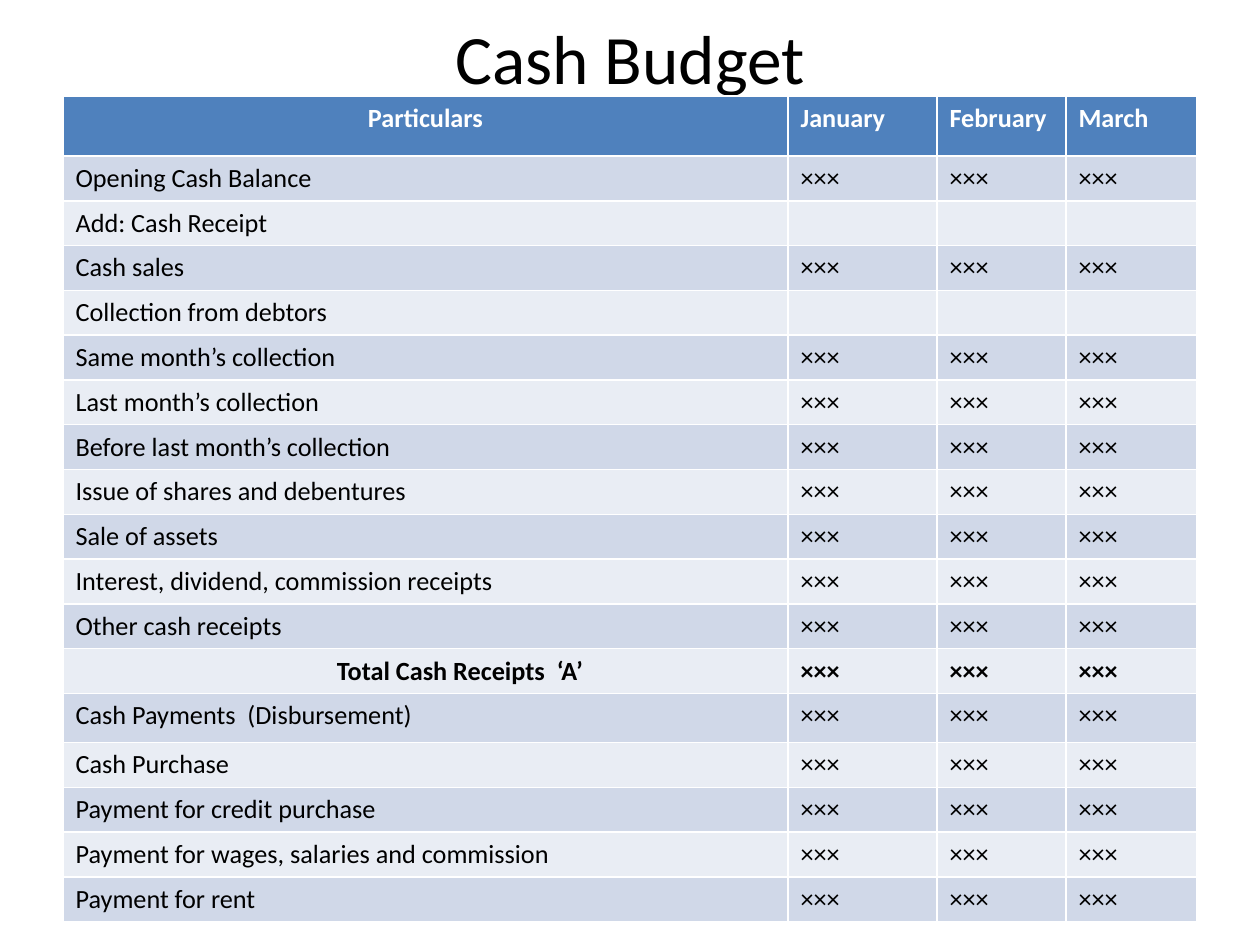
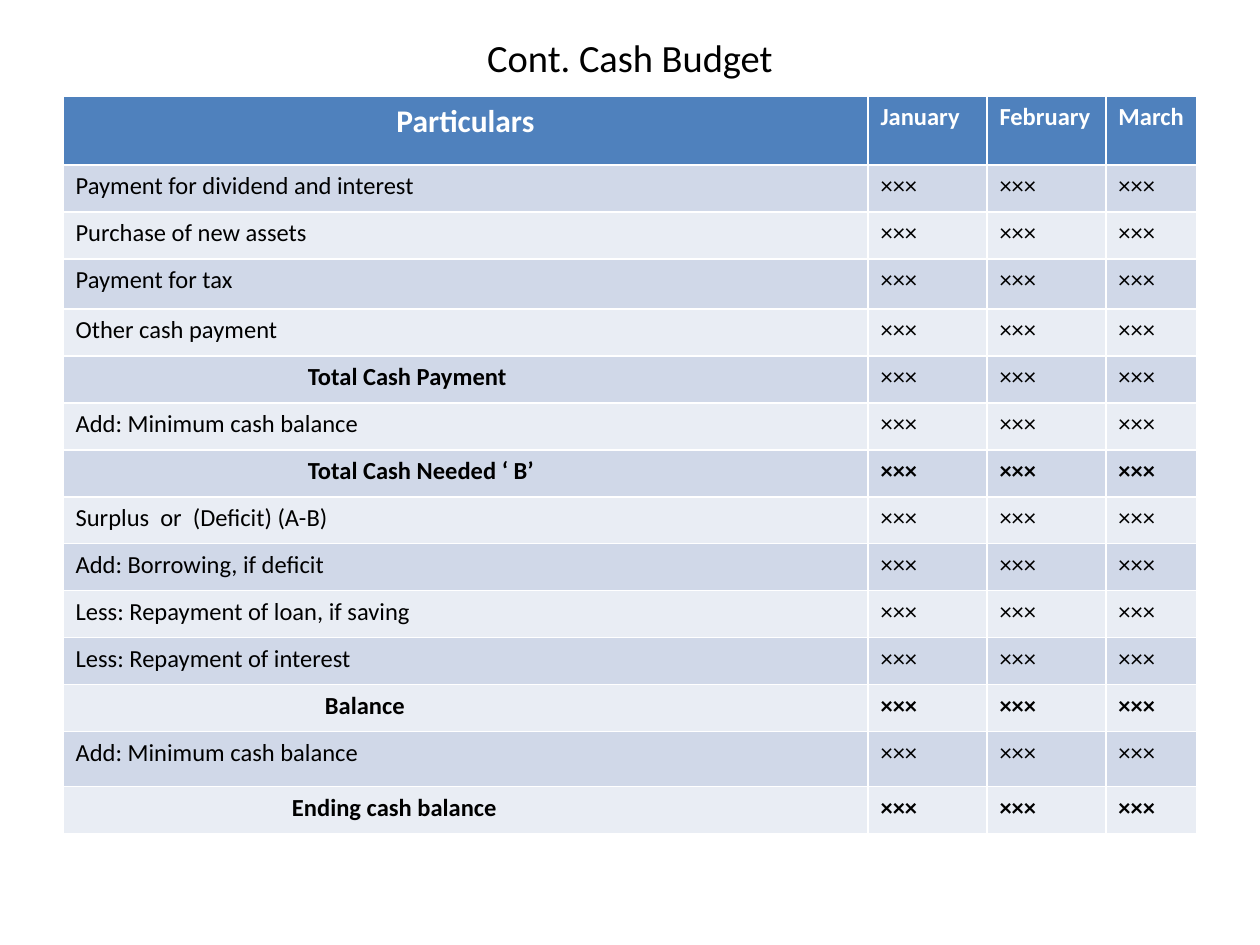
from dataclasses import dataclass

import pptx
import pptx.dml.color
import pptx.enum.text
import pptx.util
from lxml import etree

# Shared look
FONT = "Calibri"
BLACK = pptx.dml.color.RGBColor(0x00, 0x00, 0x00)
WHITE = pptx.dml.color.RGBColor(0xFF, 0xFF, 0xFF)
HEADER_BLUE = pptx.dml.color.RGBColor(0x4F, 0x81, 0xBD)
BANDS = (
    pptx.dml.color.RGBColor(0xD0, 0xD8, 0xE8),
    pptx.dml.color.RGBColor(0xE9, 0xED, 0xF4),
)
CENTER = pptx.enum.text.PP_ALIGN.CENTER
MIDDLE = pptx.enum.text.MSO_ANCHOR.MIDDLE
NO_AUTOFIT = pptx.enum.text.MSO_AUTO_SIZE.NONE

# Shared geometry, in px
PX_PER_INCH = 126
SLIDE_W, SLIDE_H = 1260, 945
LEFT, WIDTH = 63, 1134
TITLE_TOP, TITLE_H = 38, 38
TABLE_TOP = 96

MONTHS = ("January", "February", "March")
AMOUNT = "×××"


@dataclass(frozen=True)
class Entry:
    label: str
    amount: str = AMOUNT
    indent: int = 0  # px from the cell's edge; totals are indented and bold
    bold_amount: bool = False
    height: int = 0  # px; 0 takes the row height of the table


@dataclass(frozen=True)
class Budget:
    title: str
    title_size: float
    heading_size: int
    text_size: int
    columns: tuple[int, ...]
    header_height: int
    row_height: int
    entries: tuple[Entry, ...]


BUDGETS = (
    Budget(
        "Cash Budget", 39.6, 15, 15, (725, 149, 129, 131), 60, 44,
        (
            Entry("Opening Cash Balance"),
            Entry("Add: Cash Receipt", amount=""),
            Entry("Cash sales"),
            Entry("Collection from debtors", amount=""),
            Entry("Same month’s collection"),
            Entry("Last month’s collection"),
            Entry("Before last month’s collection"),
            Entry("Issue of shares and debentures"),
            Entry("Sale of assets"),
            Entry("Interest, dividend, commission receipts"),
            Entry("Other cash receipts"),
            Entry("Total Cash Receipts  ‘A’", indent=274, bold_amount=True),
            Entry("Cash Payments  (Disbursement)", height=49),
            Entry("Cash Purchase"),
            Entry("Payment for credit purchase"),
            Entry("Payment for wages, salaries and commission"),
            Entry("Payment for rent"),
        ),
    ),
    Budget(
        "Cont. Cash Budget", 22, 18, 14, (805, 119, 119, 91), 69, 47,
        (
            Entry("Payment for dividend and interest"),
            Entry("Purchase of new assets"),
            Entry("Payment for tax", height=50),
            Entry("Other cash payment"),
            Entry("Total Cash Payment", indent=245),
            Entry("Add: Minimum cash balance"),
            Entry("Total Cash Needed ‘ B’", indent=245, bold_amount=True),
            Entry("Surplus  or  (Deficit) (A-B)"),
            Entry("Add: Borrowing, if deficit"),
            Entry("Less: Repayment of loan, if saving"),
            Entry("Less: Repayment of interest"),
            Entry("Balance", indent=262, bold_amount=True),
            Entry("Add: Minimum cash balance", height=55),
            Entry("Ending cash balance", indent=229, bold_amount=True),
        ),
    ),
)


def px(n: int) -> pptx.util.Emu:
    return pptx.util.Emu(round(n * 914400 / PX_PER_INCH))


def style(p, size: float, color, bold: bool = False) -> None:
    p.font.name = FONT
    p.font.size = pptx.util.Pt(size)
    p.font.bold = bold
    p.font.color.rgb = color


def fill_cell(cell, text: str, size: int, color, fill, bold: bool = False):
    """Write one cell and return its paragraph."""
    cell.fill.solid()
    cell.fill.fore_color.rgb = fill
    p = cell.text_frame.paragraphs[0]
    if text:
        p.text = text
    style(p, size, color, bold)
    if not text:
        # An empty cell needs its own size to keep the row low
        end = etree.SubElement(p._p, pptx.oxml.ns.qn("a:endParaRPr"))
        end.set("sz", str(size * 100))
    return p


def add_title(slide, budget: Budget) -> None:
    sp = slide.shapes.title
    sp.left, sp.top = px(LEFT), px(TITLE_TOP)
    sp.width, sp.height = px(WIDTH), px(TITLE_H)
    tf = sp.text_frame
    tf.text = budget.title
    tf.auto_size = NO_AUTOFIT
    tf.vertical_anchor = MIDDLE
    p = tf.paragraphs[0]
    p.alignment = CENTER
    style(p, budget.title_size, BLACK)


def add_budget_table(slide, budget: Budget) -> None:
    heights = [budget.header_height]
    heights += [entry.height or budget.row_height for entry in budget.entries]
    table = slide.shapes.add_table(
        len(heights), len(budget.columns),
        px(LEFT), px(TABLE_TOP), px(WIDTH), px(sum(heights)),
    ).table
    for column, width in zip(table.columns, budget.columns):
        column.width = px(width)
    for row, height in zip(table.rows, heights):
        row.height = px(height)

    # Header row
    p = fill_cell(table.cell(0, 0), "Particulars", budget.heading_size,
                  WHITE, HEADER_BLUE, True)
    p.alignment = CENTER
    for c, month in enumerate(MONTHS, 1):
        fill_cell(table.cell(0, c), month, budget.text_size,
                  WHITE, HEADER_BLUE, True)

    # Banded entries
    for r, entry in enumerate(budget.entries, 1):
        band = BANDS[(r - 1) % 2]
        label = table.cell(r, 0)
        fill_cell(label, entry.label, budget.text_size, BLACK, band,
                  entry.indent > 0)
        if entry.indent:
            label.margin_left = px(entry.indent)
        for c in range(1, len(budget.columns)):
            fill_cell(table.cell(r, c), entry.amount, budget.text_size,
                      BLACK, band, entry.bold_amount)


def main() -> None:
    prs = pptx.Presentation()
    prs.slide_width, prs.slide_height = px(SLIDE_W), px(SLIDE_H)
    title_only = prs.slide_layouts.get_by_name("Title Only")
    for budget in BUDGETS:
        slide = prs.slides.add_slide(title_only)
        add_title(slide, budget)
        add_budget_table(slide, budget)
    prs.save("out.pptx")


if __name__ == "__main__":
    main()
